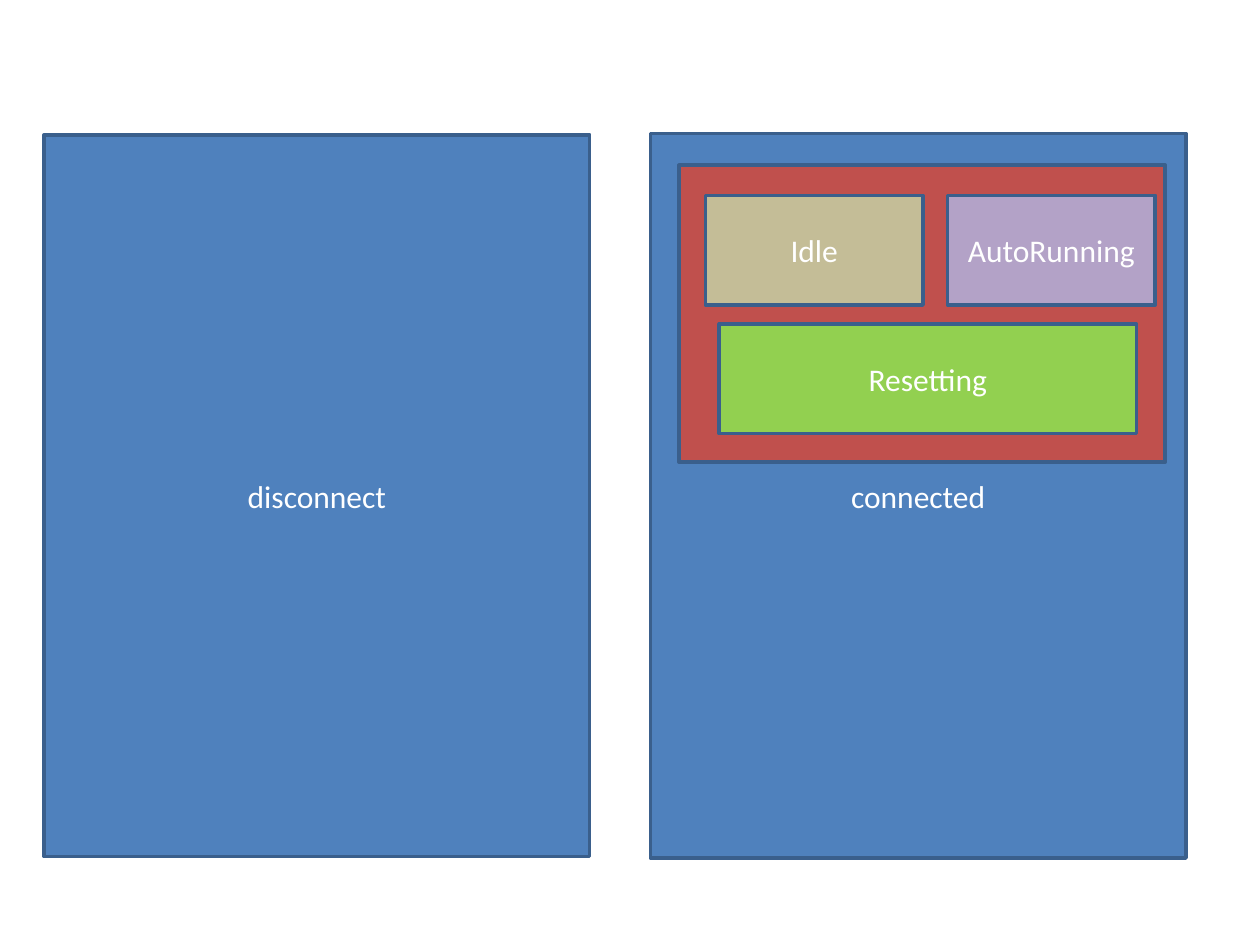
from pptx import Presentation
from pptx import util as u
from pptx.dml.color import RGBColor
from pptx.enum import shapes, text

HUES = {
    "blue": "4F81BD",
    "red": "C0504D",
    "tan": "C4BD97",
    "mauve": "B3A2C7",
    "green": "92D050",
    "edge": "3A5F8C",
    "white": "FFFFFF",
}

# label, fill, left, top, width, height (cm), from back to front
STATES = [
    ("connected", "blue", 13.11, 2.69, 10.8, 14.61),
    ("disconnect", "blue", 0.89, 2.72, 11, 14.55),
    ("", "red", 13.69, 3.33, 9.8, 5.99),
    ("Idle", "tan", 14.22, 3.94, 4.39, 2.21),
    ("AutoRunning", "mauve", 19.1, 3.94, 4.19, 2.21),
    ("Resetting", "green", 14.5, 6.53, 8.41, 2.21),
]


def hue(name):
    return RGBColor.from_string(HUES[name])


def add_state(slide, label, fill, *place):
    box = slide.shapes.add_shape(
        shapes.MSO_SHAPE.RECTANGLE, *(u.Cm(n) for n in place))
    box.shadow.inherit = False
    box.fill.solid()
    box.fill.fore_color.rgb = hue(fill)
    box.line.color.rgb = hue("edge")
    box.line.width = u.Pt(2)
    if label:
        frame = box.text_frame
        frame.text = label
        frame.vertical_anchor = text.MSO_ANCHOR.MIDDLE
        par = frame.paragraphs[0]
        par.alignment = text.PP_ALIGN.CENTER
        par.font.name = "Calibri"
        par.font.size = u.Pt(18)
        par.font.color.rgb = hue("white")


def main():
    deck = Presentation()
    deck.slide_width, deck.slide_height = u.Cm(25.4), u.Cm(19.05)
    slide = deck.slides.add_slide(deck.slide_layouts[6])
    for state in STATES:
        add_state(slide, *state)
    deck.save("out.pptx")


if __name__ == "__main__":
    main()
